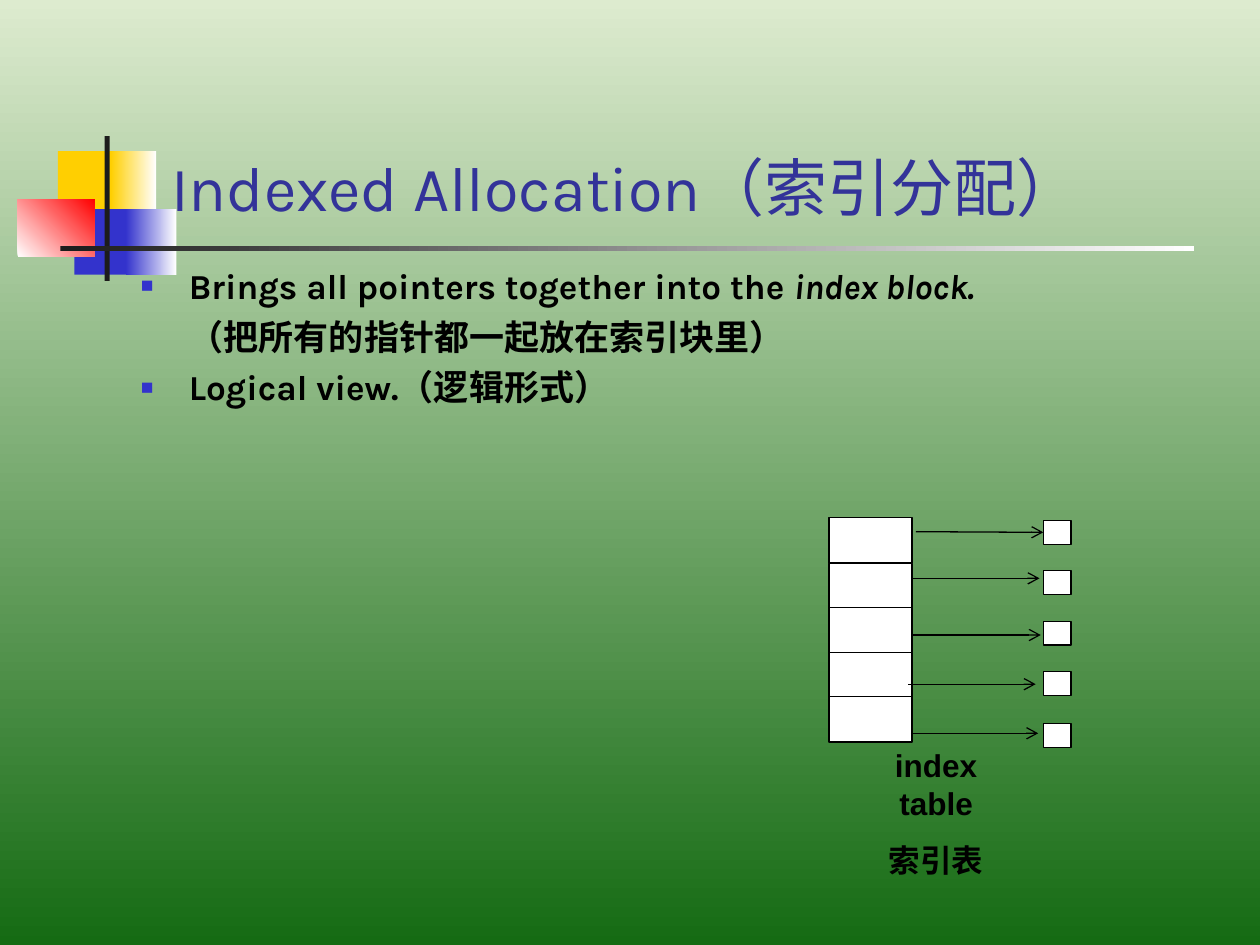
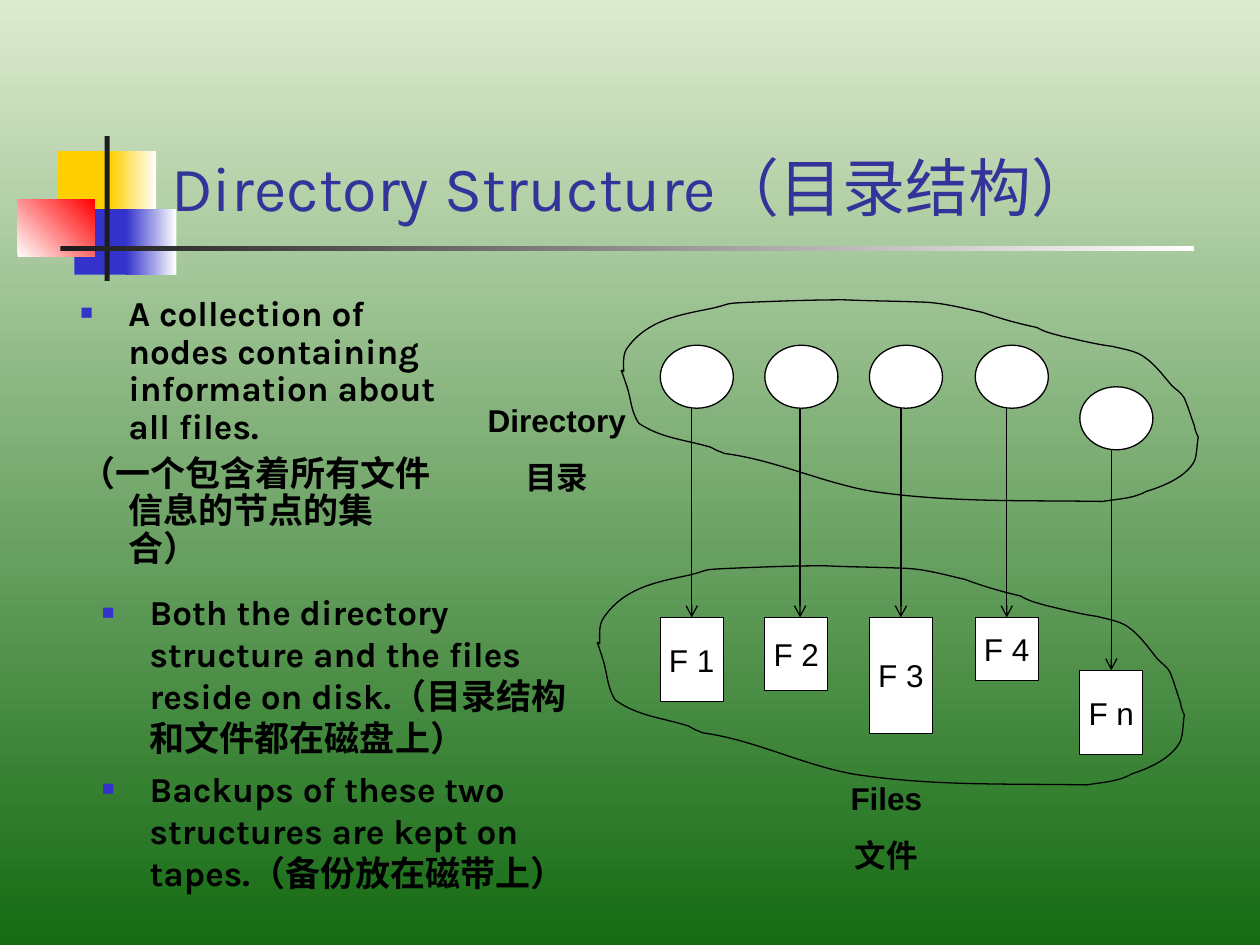
from typing import NamedTuple, Optional

from lxml.etree import SubElement
from pptx import Presentation
from pptx.dml.color import RGBColor
from pptx.enum.shapes import MSO_CONNECTOR, MSO_SHAPE
from pptx.enum.text import MSO_ANCHOR, MSO_AUTO_SIZE, PP_ALIGN
from pptx.oxml.ns import qn
from pptx.util import Emu, Pt

PX = 9144
COLORS = {
    "sky": "DDEBCF", "grass": "156B13", "yellow": "FFCF01", "blue": "3333CC",
    "red": "FF0000", "ink": "1C1C1C", "white": "FFFFFF", "black": "000000",
    "title": "333399",
}
INDENT = 38
TOP, LEFT = 0, 1


class Box(NamedTuple):
    x: int
    y: int
    w: int
    h: int


class Band(NamedTuple):
    box: Box
    start: str
    end: Optional[str] = None
    angle: int = 0


class Run(NamedTuple):
    text: str
    italic: bool = False


class Para(NamedTuple):
    runs: list[Run]
    bullet: bool = True
    hanging: bool = True


class Arrow(NamedTuple):
    x: int
    y: int
    end_x: int


class Node(NamedTuple):
    x: int
    circle_y: int
    file_y: int
    file_h: int
    arrow_dx: int
    name: str


BANDS = [
    Band(Box(46, 120, 48, 52), "yellow"),
    Band(Box(88, 120, 36, 52), "yellow", "white"),
    Band(Box(59, 166, 46, 52), "blue"),
    Band(Box(100, 166, 40, 52), "blue", "white"),
    Band(Box(14, 158, 61, 46), "white", "red", 45),
    Band(Box(83, 108, 4, 115), "ink"),
    Band(Box(48, 195, 900, 4), "ink", "white"),
]
ARROWS = [
    Arrow(727, 422, 828), Arrow(724, 459, 825), Arrow(724, 504, 826),
    Arrow(721, 543, 822), Arrow(723, 582, 824),
]
NODES = [
    Node(524, 274, 490, 67, 25, "F 1"), Node(607, 274, 490, 58, 28, "F 2"),
    Node(690, 274, 490, 92, 25, "F 3"), Node(774, 274, 490, 50, 25, "F 4"),
    Node(857, 307, 532, 67, 25, "F n"),
]
CLOUD_SIZE = (458, 161)
CLOUD_START = (2, 57)
CLOUD_CURVES = [
    ((2, 51), (1, 43), (5, 38)), ((21, 16), (46, 12), (71, 7)),
    ((89, 3), (79, 3), (101, 2)), ((126, 1), (152, 0), (177, 0)),
    ((199, 1), (221, 1), (243, 2)), ((258, 3), (273, 7), (287, 10)),
    ((301, 15), (316, 19), (330, 22)), ((337, 26), (343, 27), (350, 29)),
    ((364, 32), (375, 35), (390, 37)), ((398, 39), (406, 40), (413, 44)),
    ((423, 50), (430, 60), (437, 68)), ((440, 71), (445, 74), (447, 78)),
    ((450, 85), (452, 92), (455, 100)), ((455, 103), (458, 109), (458, 109)),
    ((457, 114), (457, 123), (455, 128)), ((448, 141), (430, 148), (417, 152)),
    ((406, 158), (394, 158), (382, 160)), ((318, 159), (260, 161), (199, 152)),
    ((159, 145), (122, 127), (82, 122)), ((81, 121), (79, 121), (77, 120)),
    ((75, 119), (73, 118), (71, 117)), ((51, 111), (32, 110), (14, 98)),
    ((8, 89), (8, 80), (5, 70)), ((5, 70), (1, 58), (0, 56)),
    ((0, 55), (1, 57), (2, 57)),
]


def px(n: float) -> Emu:
    """Turn px into EMU."""
    return Emu(round(n * PX))


def rgb(name: str) -> RGBColor:
    """Look up a colour."""
    return RGBColor.from_string(COLORS[name])


def set_gradient(fill, start: str, end: str, angle: int) -> None:
    """Give a fill a two-stop linear gradient."""
    fill.gradient()
    fill.gradient_angle = angle
    for stop, color, position in zip(fill.gradient_stops, (start, end), (0, 1)):
        stop.color.rgb = rgb(color)
        stop.position = position


def set_outline(sp) -> None:
    """Draw the thin black line used in the diagrams."""
    sp.line.color.rgb = rgb("black")
    sp.line.width = Pt(0.75)


def add_run(p, text: str, size: int, font: str, color: str = "black",
            bold: bool = False, italic: bool = False) -> None:
    """Add one formatted run."""
    r = p.add_run()
    r.text = text
    r.font.size, r.font.name = Pt(size), font
    r.font.bold, r.font.italic = bold, italic
    r.font.color.rgb = rgb(color)


def add_textbox(s, box: Box, anchor=MSO_ANCHOR.TOP, wrap: bool = True):
    """Add a text box and return its text frame."""
    tf = s.shapes.add_textbox(*map(px, box)).text_frame
    tf.word_wrap = wrap
    tf.vertical_anchor = anchor
    return tf


def next_paragraph(tf, index: int, space: float):
    """Return the paragraph at an index, spaced from the one before."""
    if index == 0:
        return tf.paragraphs[0]
    p = tf.add_paragraph()
    p.space_before = Pt(space)
    return p


def add_bullet(pPr) -> None:
    """Add the small blue square bullet."""
    SubElement(SubElement(pPr, qn("a:buClr")), qn("a:srgbClr"), val=COLORS["blue"])
    SubElement(pPr, qn("a:buSzPct"), val="60000")
    SubElement(pPr, qn("a:buFont"), typeface="Arial")
    SubElement(pPr, qn("a:buChar"), char="■")


def add_body(s, box: Box, paras: list[Para], spacing: float = 1.0) -> None:
    """Add the bold body text."""
    tf = add_textbox(s, box)
    for i, para in enumerate(paras):
        p = next_paragraph(tf, i, 5)
        p.line_spacing = spacing
        pPr = p._p.get_or_add_pPr()
        pPr.set("marL", str(px(INDENT)))
        pPr.set("indent", str(px(-INDENT if para.hanging else 0)))
        if para.bullet:
            add_bullet(pPr)
        for run in para.runs:
            add_run(p, run.text, 20, "Karla", bold=True, italic=run.italic)


def add_label(s, box: Box, lines: list[str]) -> None:
    """Add a centred two-language label."""
    tf = add_textbox(s, box, MSO_ANCHOR.MIDDLE, wrap=False)
    tf.auto_size = MSO_AUTO_SIZE.SHAPE_TO_FIT_TEXT
    for i, line in enumerate(lines):
        p = next_paragraph(tf, i, 11.2)
        p.alignment = PP_ALIGN.CENTER
        add_run(p, line, 18, "Arial", bold=True)


def add_node(s, box: Box, kind=MSO_SHAPE.RECTANGLE, text: str = ""):
    """Add a white outlined shape with optional text."""
    sp = s.shapes.add_shape(kind, *map(px, box))
    sp.shadow.inherit = False
    sp.fill.solid()
    sp.fill.fore_color.rgb = rgb("white")
    set_outline(sp)
    if text:
        tf = sp.text_frame
        tf.word_wrap = False
        tf.vertical_anchor = MSO_ANCHOR.MIDDLE
        p = tf.paragraphs[0]
        p.alignment = PP_ALIGN.CENTER
        add_run(p, text, 18, "Arial")
    return sp


def add_arrow(s, x1: int, y1: int, x2: int, y2: int):
    """Add a straight arrow."""
    cxn = s.shapes.add_connector(MSO_CONNECTOR.STRAIGHT, *map(px, (x1, y1, x2, y2)))
    set_outline(cxn)
    SubElement(cxn.line._get_or_add_ln(), qn("a:tailEnd"), type="arrow")
    SubElement(cxn._element.spPr, qn("a:effectLst"))
    return cxn


def add_cloud(s, box: Box) -> None:
    """Add the curved cloud outline stretched to a box."""
    kx, ky = box.w / CLOUD_SIZE[0], box.h / CLOUD_SIZE[1]
    anchors = [(px(box.x + x * kx), px(box.y + y * ky))
               for x, y in [CLOUD_START, *(curve[-1] for curve in CLOUD_CURVES)]]
    builder = s.shapes.build_freeform(*anchors[0])
    builder.add_line_segments(anchors[1:], close=True)
    sp = builder.convert_to_shape()
    for segment, curve in zip(list(sp._element.iter(qn("a:lnTo"))), CLOUD_CURVES):
        segment.clear()
        segment.tag = qn("a:cubicBezTo")
        for x, y in curve:
            SubElement(segment, qn("a:pt"), x=str(px(x * kx)), y=str(px(y * ky)))
    sp.shadow.inherit = False
    sp.fill.background()
    set_outline(sp)


def add_slide(prs, title: str):
    """Add a slide with the shared background, bands and title."""
    s = prs.slides.add_slide(prs.slide_layouts[6])
    set_gradient(s.background.fill, "sky", "grass", 270)
    for band in BANDS:
        sp = s.shapes.add_shape(MSO_SHAPE.RECTANGLE, *map(px, band.box))
        sp.shadow.inherit = False
        sp.line.fill.background()
        if band.end:
            set_gradient(sp.fill, band.start, band.end, band.angle)
        else:
            sp.fill.solid()
            sp.fill.fore_color.rgb = rgb(band.start)
    tf = add_textbox(s, Box(126, 23, 852, 160), MSO_ANCHOR.BOTTOM)
    add_run(tf.paragraphs[0], title, 36, "Karla", "title")
    return s


def build_indexed_allocation(prs) -> None:
    """Build the slide on indexed allocation."""
    s = add_slide(prs, "Indexed Allocation（索引分配）")
    add_body(s, Box(102, 205, 769, 357), [
        Para([Run("Brings all pointers together into the "), Run("index block.", True)]),
        Para([Run("（把所有的指针都一起放在索引块里）")], bullet=False, hanging=False),
        Para([Run("Logical view.（逻辑形式）")]),
    ])
    for i, arrow in enumerate(ARROWS):
        add_node(s, Box(658, round(411 + 35.6 * i), 66, 36))
        block = Box(828, int(413 + 40.25 * i), 22, 19)
        sp = add_node(s, block)
        cxn = add_arrow(s, arrow.x, arrow.y, arrow.end_x, arrow.y)
        if (arrow.end_x, arrow.y) == (block.x, block.y + block.h // 2):
            cxn.end_connect(sp, LEFT)
    add_label(s, Box(668, 602, 150, 86), ["index table", "索引表"])


def build_directory_structure(prs) -> None:
    """Build the slide on directory structure."""
    s = add_slide(prs, "Directory Structure（目录结构）")
    add_body(s, Box(54, 230, 305, 337), [
        Para([Run("A collection of nodes containing information about all files.")]),
        Para([Run("（一个包含着所有文件信息的节点的集合）")], bullet=False),
    ], 0.9)
    circle_h, file_w = 50, 50
    for node in NODES:
        add_node(s, Box(node.x, node.circle_y, 58, circle_h), MSO_SHAPE.OVAL)
        sp = add_node(s, Box(node.x, node.file_y, file_w, node.file_h), text=node.name)
        x = node.x + node.arrow_dx
        cxn = add_arrow(s, x, node.circle_y + circle_h, x, node.file_y)
        if node.arrow_dx == file_w // 2:
            cxn.end_connect(sp, TOP)
    add_cloud(s, Box(493, 238, 458, 161))
    add_cloud(s, Box(474, 449, 466, 175))
    add_label(s, Box(377, 313, 130, 86), ["Directory", "目录"])
    add_label(s, Box(665, 613, 77, 86), ["Files", "文件"])
    add_body(s, Box(71, 464, 397, 263), [
        Para([Run("Both the directory structure and the files reside on disk."
                  "（目录结构和文件都在磁盘上）")]),
        Para([Run("Backups of these two structures are kept on tapes.（备份放在磁带上）")]),
    ])


def main() -> None:
    """Build and save the presentation."""
    prs = Presentation()
    prs.slide_width, prs.slide_height = px(1000), px(750)
    build_indexed_allocation(prs)
    build_directory_structure(prs)
    prs.save("out.pptx")


if __name__ == "__main__":
    main()
